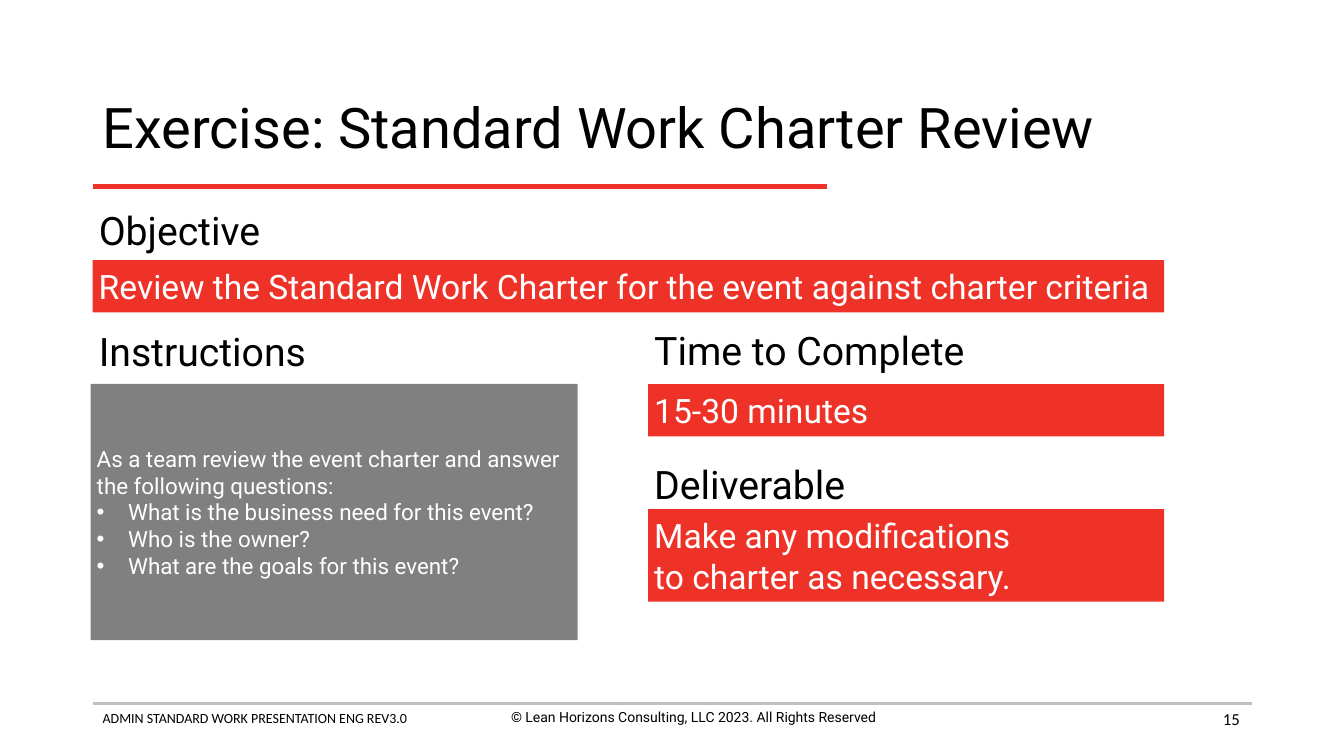
from dataclasses import dataclass

import pptx
import pptx.dml.color
import pptx.enum.shapes
import pptx.enum.text
import pptx.oxml.ns
import pptx.util
from lxml import etree

Pt = pptx.util.Pt
Align = pptx.enum.text.PP_ALIGN
Anchor = pptx.enum.text.MSO_ANCHOR

COLORS = {"red": "EE3228", "gray": "808080", "rule": "BFBFBF",
          "black": "000000", "white": "FFFFFF"}
LEFT = 66.24
RIGHT_COLUMN = 463
RIGHT_WIDTH = 368.6
PANEL_TOP = 274.3
BULLET = "• "


@dataclass
class Rule:
    top: float
    right: float
    color: str
    weight: float


@dataclass
class Block:
    left: float
    top: float
    width: float
    height: float
    lines: list[str]
    size: float
    fill: str = ""
    font: str = "Roboto"
    align: Align = Align.LEFT
    anchor: Anchor = Anchor.TOP
    inset_x: float = 4.32
    inset_y: float = 4.32
    wrap: bool = True
    spacing: float = 1.0


def heading(left: float, top: float, width: float, text: str) -> Block:
    return Block(left, top, width, 41.8, [text], 28, wrap=False)


def panel(left: float, top: float, width: float, height: float,
          lines: list[str], size: float = 24, fill: str = "red") -> Block:
    return Block(left, top, width, height, lines, size, fill, anchor=Anchor.MIDDLE)


def label(left: float, top: float, width: float, height: float, text: str,
          size: float = 10, **style) -> Block:
    return Block(left, top, width, height, [text], size,
                 inset_x=7.2, inset_y=3.6, **style)


def rgb(name: str) -> pptx.dml.color.RGBColor:
    return pptx.dml.color.RGBColor.from_string(COLORS[name])


def draw_rule(slide, rule: Rule) -> None:
    line = slide.shapes.add_connector(
        pptx.enum.shapes.MSO_CONNECTOR.STRAIGHT,
        Pt(LEFT), Pt(rule.top), Pt(rule.right), Pt(rule.top))
    line.line.color.rgb = rgb(rule.color)
    line.line.width = Pt(rule.weight)
    etree.SubElement(line._element.spPr, pptx.oxml.ns.qn("a:effectLst"))


def add_bullet(paragraph) -> None:
    properties = paragraph._p.get_or_add_pPr()
    properties.set("marL", str(Pt(22.5)))
    properties.set("indent", str(Pt(-22.5)))
    font = etree.SubElement(properties, pptx.oxml.ns.qn("a:buFont"))
    font.set("typeface", "Arial")
    mark = etree.SubElement(properties, pptx.oxml.ns.qn("a:buChar"))
    mark.set("char", BULLET.strip())


def add_run(paragraph, text: str, block: Block) -> None:
    run = paragraph.add_run()
    run.text = text
    run.font.name = block.font
    run.font.size = Pt(block.size)
    run.font.color.rgb = rgb("white" if block.fill else "black")


def draw_block(slide, block: Block) -> None:
    bounds = Pt(block.left), Pt(block.top), Pt(block.width), Pt(block.height)
    if block.fill:
        shape = slide.shapes.add_shape(
            pptx.enum.shapes.MSO_SHAPE.RECTANGLE, *bounds)
        shape.shadow.inherit = False
        shape.fill.solid()
        shape.fill.fore_color.rgb = rgb(block.fill)
        shape.line.fill.background()
    else:
        shape = slide.shapes.add_textbox(*bounds)

    frame = shape.text_frame
    frame.word_wrap = block.wrap
    frame.vertical_anchor = block.anchor
    frame.margin_left = frame.margin_right = Pt(block.inset_x)
    frame.margin_top = frame.margin_bottom = Pt(block.inset_y)

    for index, line in enumerate(block.lines):
        paragraph = frame.add_paragraph() if index else frame.paragraphs[0]
        paragraph.alignment = block.align
        paragraph.line_spacing = block.spacing
        if line.startswith(BULLET):
            add_bullet(paragraph)
        for part, text in enumerate(line.removeprefix(BULLET).split("\n")):
            if part:
                paragraph.add_line_break()
            add_run(paragraph, text, block)


RULES = [
    Rule(502.6, 894.24, "rule", 2),
    Rule(133.2, 590.4, "red", 3),
]

BLOCKS = [
    # Footer
    label(LEFT, 503.3, 328.3, 31.7, "ADMIN STANDARD WORK PRESENTATION ENG REV3.0",
          font="Calibri"),
    label(331.2, 502.6, 328.3, 31.7,
          "© Lean Horizons Consulting, LLC 2023. All Rights Reserved",
          align=Align.CENTER),
    label(676.8, 499, 216, 28.8, "15", 12, font="Calibri",
          align=Align.RIGHT, anchor=Anchor.MIDDLE),
    # Title
    label(LEFT, 53.3, 828, 79.2, "Exercise: Standard Work Charter Review", 40,
          anchor=Anchor.MIDDLE, spacing=0.9),
    # Objective
    heading(LEFT, 143.3, 126, "Objective"),
    panel(LEFT, 185.8, 765.4, 37.4,
          ["Review the Standard Work Charter for the event against charter criteria"]),
    # Instructions
    heading(LEFT, 229.7, 159.1, "Instructions"),
    panel(64.8, PANEL_TOP, 347.8, 182.9, [
        "As a team review the event charter and answer the following questions:",
        BULLET + "What is the business need for this event?",
        BULLET + "Who is the owner?",
        BULLET + "What are the goals for this event?",
    ], 16, "gray"),
    # Time to complete
    heading(RIGHT_COLUMN, 228.5, 234, "Time to Complete"),
    panel(RIGHT_COLUMN, PANEL_TOP, RIGHT_WIDTH, 37.4, ["15-30 minutes"]),
    # Deliverable
    heading(RIGHT_COLUMN, 324.7, 149, "Deliverable"),
    panel(RIGHT_COLUMN, 363.6, RIGHT_WIDTH, 66.2,
          ["Make any modifications\nto charter as necessary."]),
]


def main() -> None:
    deck = pptx.Presentation()
    deck.slide_width, deck.slide_height = Pt(960), Pt(540)
    slide = deck.slides.add_slide(deck.slide_layouts[6])
    for rule in RULES:
        draw_rule(slide, rule)
    for block in BLOCKS:
        draw_block(slide, block)
    deck.save("out.pptx")


if __name__ == "__main__":
    main()
